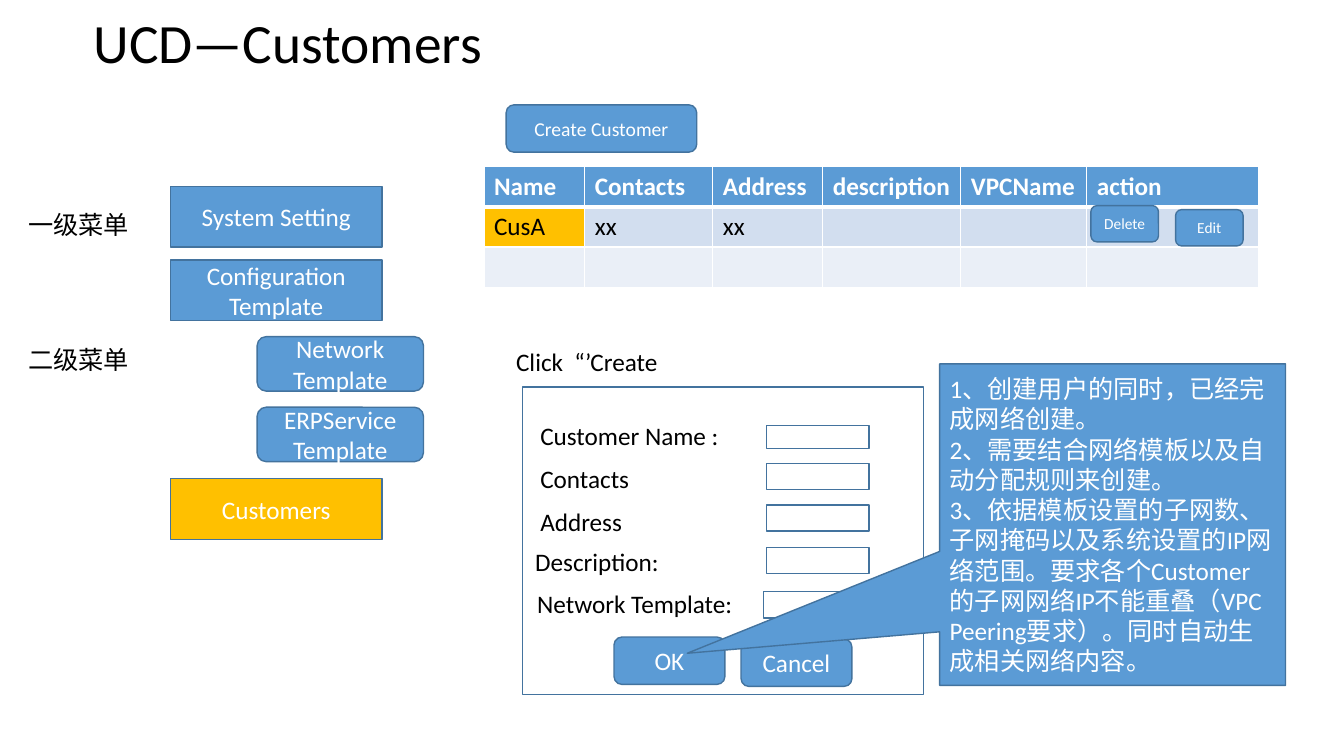
import pptx
import pptx.util
import pptx.dml.color
import pptx.enum.shapes
import pptx.enum.text
import pptx.oxml
import pptx.oxml.ns

Inches = pptx.util.Inches
Pt = pptx.util.Pt
SHAPE = pptx.enum.shapes.MSO_SHAPE
ALIGN = pptx.enum.text.PP_ALIGN
ANCHOR = pptx.enum.text.MSO_ANCHOR
AUTO_SIZE = pptx.enum.text.MSO_AUTO_SIZE

COLORS = {
    "blue": "5B9BD5",
    "outline": "43739E",
    "gold": "FFC000",
    "band": "D2DEEF",
    "pale": "EAEFF7",
    "white": "FFFFFF",
    "black": "000000",
}
FONT = "Calibri"

TITLE = "UCD—Customers"
TABLE_ROWS = [
    ["Name", "Contacts", "Address", "description", "VPCName", "action"],
    ["CusA", "xx", "xx", "", "", ""],
    ["", "", "", "", "", ""],
]
COLUMN_WIDTHS = [1, 1.27, 1.09, 1.37, 1.25, 1.7]
ROW_HEIGHT = 0.4
ROW_FILLS = ["blue", "band", "pale"]

MAIN_MENU = [
    ("System Setting", 1.85, "blue"),
    ("Configuration Template", 2.58, "blue"),
    ("Customers", 4.75, "gold"),
]
SUB_MENU = [("Network Template", 3.34), ("ERPService Template", 4.04)]
MENU_LEVELS = [("一级菜单", 2.03), ("二级菜单", 3.37)]

BUTTONS = [
    ("Create Customer", (5.02, 1.04, 1.89, 0.47), 14),
    ("Delete", (10.82, 2.04, 0.67, 0.36), 11),
    ("Edit", (11.66, 2.08, 0.67, 0.36), 11),
    ("Cancel", (7.35, 6.34, 1.1, 0.47), 18),
    ("OK", (6.09, 6.32, 1.1, 0.47), 18),
]
FORM_CAPTION = ("Click  “’Create", (5.02, 3.39, 1.62, 0.4))
FORM_FIELDS = [
    ("Customer Name :", (5.26, 4.12, 1.99, 0.4), (7.6, 4.22, 1.02, 0.23)),
    ("Contacts", (5.26, 4.55, 1.09, 0.4), (7.6, 4.6, 1.02, 0.26)),
    ("Address", (5.26, 4.97, 1.02, 0.4), (7.6, 5.01, 1.02, 0.26)),
    ("Description:", (5.21, 5.37, 1.5, 0.4), (7.6, 5.43, 1.02, 0.26)),
    ("Network Template:", (5.23, 5.79, 2.16, 0.4), (7.57, 5.87, 1.02, 0.26)),
]
CALLOUT_NOTES = [
    "1、创建用户的同时，已经完成网络创建。",
    "2、需要结合网络模板以及自动分配规则来创建。",
    "3、依据模板设置的子网数、子网掩码以及系统设置的IP网络范围。要求各个Customer的子网网络IP不能重叠"
    "（VPC Peering要求）。同时自动生成相关网络内容。",
]


def rgb(name):
    return pptx.dml.color.RGBColor.from_string(COLORS[name])


def apply(target, values):
    for name, value in values.items():
        setattr(target, name, value)


def write(text_frame, lines, size, color, bold=False, **paragraph_format):
    for index, line in enumerate(lines):
        paragraph = text_frame.add_paragraph() if index else text_frame.paragraphs[0]
        apply(paragraph, paragraph_format)
        run = paragraph.add_run()
        run.text = line
        apply(run.font, {"name": FONT, "size": Pt(size), "bold": bold})
        run.font.color.rgb = rgb(color)


def add_box(kind, place, fill, lines=(), size=18, align=ALIGN.CENTER):
    shape = slide.shapes.add_shape(kind, *map(Inches, place))
    shape.shadow.inherit = False
    shape.fill.solid()
    shape.fill.fore_color.rgb = rgb(fill)
    shape.line.color.rgb = rgb("outline")
    shape.line.width = Pt(1)
    apply(shape.text_frame, {"word_wrap": True, "vertical_anchor": ANCHOR.MIDDLE})
    write(shape.text_frame, lines, size, "white", alignment=align)
    return shape


def add_label(text, place):
    label = slide.shapes.add_textbox(*map(Inches, place))
    apply(label.text_frame, {"word_wrap": False, "auto_size": AUTO_SIZE.SHAPE_TO_FIT_TEXT})
    write(label.text_frame, [text], 18, "black")


def add_border(cell, side, width):
    cell.fill.background()
    properties = cell._tc.get_or_add_tcPr()
    border = pptx.oxml.parse_xml(
        f'<a:{side} {pptx.oxml.ns.nsdecls("a")} w="{Pt(width)}"><a:solidFill>'
        f'<a:srgbClr val="{COLORS["white"]}"/></a:solidFill></a:{side}>'
    )
    properties.insert(len(properties) - 1, border)


def add_customer_table():
    place = (4.8, 1.65, sum(COLUMN_WIDTHS), ROW_HEIGHT * len(TABLE_ROWS))
    frame = slide.shapes.add_table(len(TABLE_ROWS), len(COLUMN_WIDTHS), *map(Inches, place))
    table = frame.table
    for column, width in zip(table.columns, COLUMN_WIDTHS):
        column.width = Inches(width)
    for row_index, texts in enumerate(TABLE_ROWS):
        header = row_index == 0
        widths = {"lnL": 1, "lnR": 1, "lnT": 3 if row_index == 1 else 1, "lnB": 3 if header else 1}
        for column_index, text in enumerate(texts):
            cell = table.cell(row_index, column_index)
            for side, width in widths.items():
                add_border(cell, side, width)
            cell.fill.solid()
            cell.fill.fore_color.rgb = rgb("gold" if text == "CusA" else ROW_FILLS[row_index])
            if text:
                write(cell.text_frame, [text], 18, "white" if header else "black", header)


presentation = pptx.Presentation()
apply(presentation, {"slide_width": Inches(13.33), "slide_height": Inches(7.5)})
slide = presentation.slides.add_slide(presentation.slide_layouts[6])

add_box(SHAPE.RECTANGLE, (5.18, 3.84, 3.98, 3.05), "white")

title = slide.shapes.add_textbox(*map(Inches, (0.83, 0.12, 11.5, 0.66)))
apply(title.text_frame, {"word_wrap": True, "vertical_anchor": ANCHOR.MIDDLE})
write(title.text_frame, [TITLE], 39.6, "black", line_spacing=0.9)

add_customer_table()

for text, top, fill in MAIN_MENU:
    add_box(SHAPE.RECTANGLE, (1.69, top, 2.1, 0.6), fill, [text])
for text, top in SUB_MENU:
    add_box(SHAPE.ROUNDED_RECTANGLE, (2.55, top, 1.65, 0.54), "blue", [text])
for text, top in MENU_LEVELS:
    add_label(text, (0.18, top, 1.21, 0.4))

add_label(*FORM_CAPTION)
for text, label_place, input_place in FORM_FIELDS:
    add_label(text, label_place)
    add_box(SHAPE.RECTANGLE, input_place, "white")
for text, place, size in BUTTONS:
    add_box(SHAPE.ROUNDED_RECTANGLE, place, "blue", [text], size)

callout = add_box(SHAPE.RECTANGULAR_CALLOUT, (9.32, 3.61, 3.43, 3.19), "blue", CALLOUT_NOTES, align=ALIGN.LEFT)
callout.adjustments[0] = -1.23
callout.adjustments[1] = 0.4

presentation.save("out.pptx")
